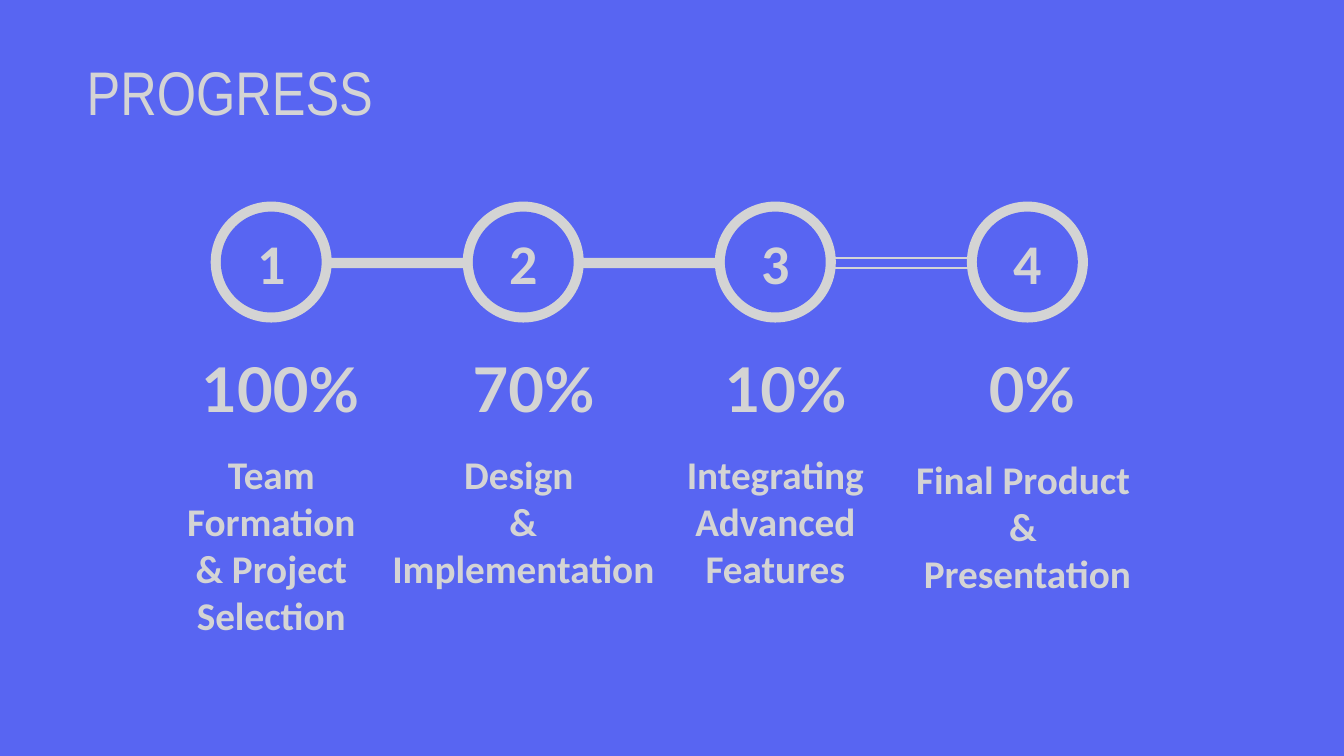
from dataclasses import dataclass

from pptx import Presentation
from pptx.dml.color import RGBColor
from pptx.enum.shapes import MSO_SHAPE
from pptx.enum.text import MSO_ANCHOR, MSO_AUTO_SIZE, PP_ALIGN
from pptx.shapes.autoshape import Shape
from pptx.slide import Slide
from pptx.text.text import TextFrame
from pptx.util import Inches, Pt

OVAL, RECTANGLE = MSO_SHAPE.OVAL, MSO_SHAPE.RECTANGLE
LEFT, CENTER = PP_ALIGN.LEFT, PP_ALIGN.CENTER
MIDDLE, BOTTOM = MSO_ANCHOR.MIDDLE, MSO_ANCHOR.BOTTOM
NO_AUTOFIT = MSO_AUTO_SIZE.NONE
TITLE_ONLY = 5


@dataclass(frozen=True)
class Theme:
    background: RGBColor = RGBColor(0x58, 0x65, 0xF2)
    foreground: RGBColor = RGBColor(0xD4, 0xD4, 0xD4)
    title_font: str = "Arial Narrow"
    percent_font: str = "Lato"
    body_font: str = "Calibri"
    title_size: int = 44
    percent_size: int = 44
    number_size: int = 40
    label_size: int = 28


@dataclass(frozen=True)
class Box:
    left: float
    top: float
    width: float
    height: float

    def lengths(self) -> list[int]:
        return [Inches(value) for value in (self.left, self.top, self.width, self.height)]


@dataclass(frozen=True)
class Milestone:
    percent: str
    percent_box: Box
    label: tuple[str, ...]
    label_box: Box


THEME = Theme()
FIRST_RING_LEFT, RING_TOP, RING_SIZE = 2.09, 2.0, 1.2
RING_STEP = 2.5
BAND = 0.1
BAR_OVERLAP = 0.03

MILESTONES = [
    Milestone("100%", Box(1.9, 3.43, 2.19, 0.84),
              ("Team Formation & Project Selection",), Box(1.65, 4.42, 2.08, 1.99)),
    Milestone("70%", Box(4.59, 3.43, 1.66, 0.84),
              ("Design ", "& Implementation"), Box(3.67, 4.42, 3.04, 1.51)),
    Milestone("10%", Box(7.09, 3.43, 1.66, 0.84),
              ("Integrating Advanced Features",), Box(6.17, 4.42, 3.04, 1.51)),
    Milestone("0%", Box(9.71, 3.43, 1.34, 0.84),
              ("Final Product ", "& ", "Presentation"), Box(8.67, 4.47, 3.04, 1.51)),
]


def write(frame: TextFrame, lines: tuple[str, ...], font: str, size: int,
          alignment: PP_ALIGN, bold: bool = True) -> None:
    frame.word_wrap = True
    for index, line in enumerate(lines):
        paragraph = frame.add_paragraph() if index else frame.paragraphs[0]
        paragraph.alignment = alignment
        run = paragraph.add_run()
        run.text = line
        run.font.name = font
        run.font.size = Pt(size)
        run.font.bold = bold
        run.font.color.rgb = THEME.foreground


def paint(shape: Shape, color: RGBColor) -> None:
    shape.shadow.inherit = False
    shape.fill.solid()
    shape.fill.fore_color.rgb = color
    shape.line.fill.background()


def add_title(slide: Slide, text: str) -> None:
    title = slide.shapes.title
    title.left, title.top, title.width, title.height = Box(0.76, 0.49, 11.58, 0.84).lengths()
    frame = title.text_frame
    frame.auto_size = NO_AUTOFIT
    frame.vertical_anchor = BOTTOM
    write(frame, (text,), THEME.title_font, THEME.title_size, LEFT, bold=False)
    frame.paragraphs[0].line_spacing = 0.9


def add_ring(slide: Slide, left: float, number: int) -> None:
    group = slide.shapes.add_group_shape()
    outer = Box(left, RING_TOP, RING_SIZE, RING_SIZE)
    paint(group.shapes.add_shape(OVAL, *outer.lengths()), THEME.foreground)
    inner_size = RING_SIZE - 2 * BAND
    inner = Box(left + BAND, RING_TOP + BAND, inner_size, inner_size)
    disc = group.shapes.add_shape(OVAL, *inner.lengths())
    paint(disc, THEME.background)
    disc.text_frame.vertical_anchor = MIDDLE
    write(disc.text_frame, (str(number),), THEME.body_font, THEME.number_size, CENTER)


def add_bar(slide: Slide, ring_left: float, filled: bool) -> None:
    box = Box(ring_left + RING_SIZE - BAR_OVERLAP, 2.56,
              RING_STEP - RING_SIZE + 2 * BAR_OVERLAP, BAND)
    bar = slide.shapes.add_shape(RECTANGLE, *box.lengths())
    paint(bar, THEME.foreground)
    if not filled:
        bar.fill.background()
        bar.line.color.rgb = THEME.foreground
        bar.line.width = Pt(1.5)


def add_text(slide: Slide, box: Box, lines: tuple[str, ...], font: str, size: int,
             alignment: PP_ALIGN) -> None:
    text_box = slide.shapes.add_textbox(*box.lengths())
    write(text_box.text_frame, lines, font, size, alignment)


def main() -> None:
    presentation = Presentation()
    presentation.slide_width = Inches(13.33)
    presentation.slide_height = Inches(7.5)
    slide = presentation.slides.add_slide(presentation.slide_layouts[TITLE_ONLY])

    # Background and title
    slide.background.fill.solid()
    slide.background.fill.fore_color.rgb = THEME.background
    add_title(slide, "PROGRESS")

    # Numbered rings, joined by bars; the last bar is still empty
    ring_lefts = [FIRST_RING_LEFT + RING_STEP * index for index in range(len(MILESTONES))]
    for number, left in enumerate(ring_lefts, start=1):
        add_ring(slide, left, number)
    bar_starts = ring_lefts[:-1]
    for left in bar_starts:
        add_bar(slide, left, filled=left != bar_starts[-1])

    # Percentages and labels
    for milestone in MILESTONES:
        add_text(slide, milestone.percent_box, (milestone.percent,),
                 THEME.percent_font, THEME.percent_size, LEFT)
        add_text(slide, milestone.label_box, milestone.label,
                 THEME.body_font, THEME.label_size, CENTER)

    presentation.save("out.pptx")


if __name__ == "__main__":
    main()
